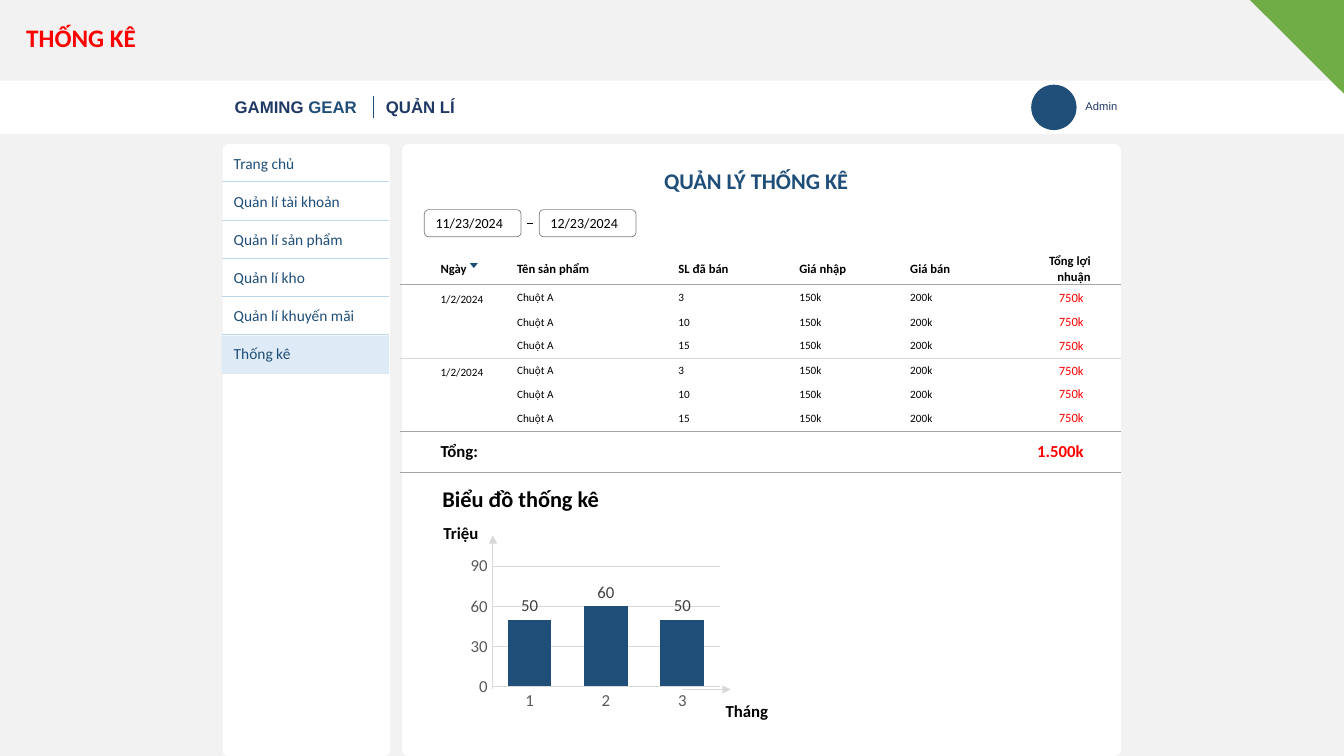
from pptx import Presentation
from pptx.chart.data import CategoryChartData
from pptx.dml.color import RGBColor
from pptx.enum.chart import XL_CHART_TYPE as ChartType, XL_LABEL_POSITION as LabelPosition
from pptx.enum.chart import XL_TICK_MARK as TickMark
from pptx.enum.shapes import MSO_CONNECTOR as Connector, MSO_SHAPE as Shape
from pptx.enum.text import MSO_ANCHOR as Anchor, MSO_AUTO_SIZE as AutoSize, PP_ALIGN as Align
from pptx.oxml import parse_xml
from pptx.oxml.ns import nsdecls, qn
from pptx.util import Inches, Pt

GRID = Inches(0.1)
COLUMNS, ROWS = 133.33, 75
COLORS = {
    "page": "F2F2F2", "white": "FFFFFF", "black": "000000", "red": "FF0000",
    "blue": "1F4E79", "navy": "203864", "sky": "BDD7EE", "active": "DEEBF7",
    "green": "70AD47", "rule": "A6A6A6", "faint": "D9D9D9", "border": "808080",
    "axis": "595959", "label": "404040",
}
MENU = [("Trang chủ", 8.2), ("Quản lí tài khoản", 12.6), ("Quản lí sản phẩm", 12.9),
        ("Quản lí kho", 9.5), ("Quản lí khuyến mãi", 14.1), ("Thống kê", 7.7)]
HEADERS = ["Ngày", "Tên sản phẩm", "SL đã bán", "Giá nhập", "Giá bán", "Tổng lợi nhuận"]
DAYS = [("1/2/2024", ["3", "10", "15"])] * 2
COLUMN_WIDTHS = [10.6, 16, 12, 11, 10.3, 11.6]
ROW_HEIGHTS = [2.6, 2.7, 2.2, 2.4, 2.6, 2.1, 2.6, 4.1]


def grid(*cells):
    return [round(cell * GRID) for cell in cells]


def color(name):
    return RGBColor.from_string(COLORS[name])


def set_font(font, size, name, bold=False, face="Calibri"):
    font.size, font.bold, font.name = Pt(size), bold, face
    font.color.rgb = color(name)


def add_block(slide, kind, box, fill, radius=None, rotation=0):
    shape = slide.shapes.add_shape(kind, *grid(*box))
    shape.shadow.inherit = False
    shape.fill.solid()
    shape.fill.fore_color.rgb = color(fill)
    shape.line.fill.background()
    shape.rotation = rotation
    if radius is not None:
        shape.adjustments[0] = radius
    return shape


def add_text(slide, text, box, size, name, bold=False, face="Calibri"):
    frame = slide.shapes.add_textbox(*grid(*box)).text_frame
    frame.word_wrap = False
    paragraph = frame.paragraphs[0]
    paragraph.text = text
    set_font(paragraph.font, size, name, bold, face)
    return paragraph


def add_line(slide, ends, name, width, arrow=False):
    connector = slide.shapes.add_connector(Connector.STRAIGHT, *grid(*ends))
    connector.line.color.rgb = color(name)
    connector.line.width = Pt(width)
    properties = connector._element.spPr
    if arrow:
        properties.find(qn("a:ln")).append(
            parse_xml(f'<a:tailEnd {nsdecls("a")} type="triangle"/>'))
    properties.append(parse_xml(f'<a:effectLst {nsdecls("a")}/>'))


def add_title(slide, text):
    title = slide.shapes.title
    title.left, title.top, title.width, title.height = grid(1.6, 1.7, 13, 4)
    frame = title.text_frame
    frame.text = text
    frame.word_wrap, frame.auto_size = False, AutoSize.NONE
    frame.vertical_anchor = Anchor.MIDDLE
    frame.paragraphs[0].alignment = Align.LEFT
    set_font(frame.paragraphs[0].font, 18, "red", True)


def add_header(slide):
    add_block(slide, Shape.RECTANGLE, (0, 8, COLUMNS, 5.3), "white")
    shop = add_text(slide, "GAMING", (22.3, 9.1, 14.3, 3), 12, "navy", True, "Arial")
    gear = shop.add_run()
    gear.text = " GEAR"
    gear.font.color.rgb = color("blue")
    add_line(slide, (37, 11.7, 37, 9.5), "blue", 0.5)
    add_text(slide, "QUẢN LÍ", (37.3, 9.1, 8.9, 3), 12, "navy", True, "Arial")
    add_block(slide, Shape.OVAL, (102.3, 8.4, 4.5, 4.5), "blue")
    add_text(slide, "Admin", (106.7, 9.4, 5.2, 2.4), 8, "navy", face="Arial")


def add_menu(slide):
    left, width, pitch = 22, 16.6, 3.8
    add_block(slide, Shape.ROUNDED_RECTANGLE, (22.1, 14.3, width, 60.7), "white", 0.03)
    add_block(slide, Shape.RECTANGLE, (left, 33.3, width, pitch), "active")
    for index, (label, label_width) in enumerate(MENU):
        add_text(slide, label, (22.2, 14.75 + index * 3.77, label_width, 2.9), 11, "blue")
        if index:
            rule = 14.2 + index * pitch
            add_line(slide, (left, rule, left + width, rule), "sky", 0.25)


def add_date_range(slide):
    for left, day in ((42.1, "11/23/2024"), (53.5, "12/23/2024")):
        shape = add_block(slide, Shape.ROUNDED_RECTANGLE, (left, 20.8, 9.6, 2.7), "white")
        shape.line.color.rgb = color("border")
        shape.line.width = Pt(0.5)
        shape.text_frame.text = day
        shape.text_frame.vertical_anchor = Anchor.MIDDLE
        paragraph = shape.text_frame.paragraphs[0]
        paragraph.alignment = Align.LEFT
        set_font(paragraph.font, 10, "black")
    add_line(slide, (52.3, 22.2, 52.9, 22.2), "black", 0.75)


def fill_cell(cell, text, size, name, bold=False, right=None):
    cell.text = text
    paragraph = cell.text_frame.paragraphs[0]
    set_font(paragraph.font, size, name, bold)
    if right is not None:
        paragraph.alignment = Align.RIGHT
        cell.margin_right = grid(right)[0]


def underline(row, name, width):
    for cell in row.cells:
        cell._tc.get_or_add_tcPr().insert(0, parse_xml(
            f'<a:lnB {nsdecls("a")} w="{Pt(width)}"><a:solidFill>'
            f'<a:srgbClr val="{COLORS[name]}"/></a:solidFill></a:lnB>'))


def add_sales_table(slide):
    frame = slide.shapes.add_table(len(ROW_HEIGHTS), len(COLUMN_WIDTHS), *grid(
        39.7, 25.2, sum(COLUMN_WIDTHS), sum(ROW_HEIGHTS)))
    table = frame.table
    table.first_row = table.horz_banding = False
    table._tbl.tblPr.find(qn("a:tableStyleId")).text = "{2D5ABB26-0587-4C30-8999-92F81FD0307C}"
    for column, width in zip(table.columns, grid(*COLUMN_WIDTHS)):
        column.width = width
    for row, height in zip(table.rows, grid(*ROW_HEIGHTS)):
        row.height = height
        for index, cell in enumerate(row.cells):
            cell.fill.background()
            cell.vertical_anchor = Anchor.MIDDLE
            cell.margin_top = cell.margin_bottom = cell.margin_right = 0
            cell.margin_left = grid(1 if index else 4)[0]
    last = len(HEADERS) - 1
    for index, header in enumerate(HEADERS):
        fill_cell(table.cell(0, index), header, 9, "black", True, 3 if index == last else None)
    for group, (day, amounts) in enumerate(DAYS):
        first = 1 + group * len(amounts)
        date = table.cell(first, 0)
        date.merge(table.cell(first + len(amounts) - 1, 0))
        fill_cell(date, day, 8, "black")
        date.vertical_anchor = Anchor.TOP
        date.margin_top = grid(0.8)[0]
        for row, amount in enumerate(amounts, first):
            for index, text in enumerate(["Chuột A", amount, "150k", "200k"], 1):
                fill_cell(table.cell(row, index), text, 8, "black")
            fill_cell(table.cell(row, last), "750k", 9, "red", right=3.7)
    total = len(ROW_HEIGHTS) - 1
    table.cell(total, 0).merge(table.cell(total, last - 1))
    fill_cell(table.cell(total, 0), "Tổng:", 12, "black", True)
    fill_cell(table.cell(total, last), "1.500k", 12, "red", True, 3.7)
    for row, name, width in ((0, "rule", 0.5), (3, "faint", 0.25),
                             (6, "rule", 0.5), (7, "rule", 0.5)):
        underline(table.rows[row], name, width)
    underline_origin = table.cell(1, 0), table.cell(4, 0)
    for cell, name, width in zip(underline_origin, ("faint", "rule"), (0.25, 0.5)):
        cell._tc.get_or_add_tcPr().insert(0, parse_xml(
            f'<a:lnB {nsdecls("a")} w="{Pt(width)}"><a:solidFill>'
            f'<a:srgbClr val="{COLORS[name]}"/></a:solidFill></a:lnB>'))
    add_block(slide, Shape.ISOSCELES_TRIANGLE, (46.6, 26.1, 0.8, 0.5), "blue", rotation=180)


def add_profit_chart(slide):
    data = CategoryChartData()
    data.categories = ["1", "2", "3"]
    data.add_series("Series 1", (50, 60, 50))
    chart = slide.shapes.add_chart(
        ChartType.COLUMN_CLUSTERED, *grid(44.5, 55, 28.4, 16.8), data).chart
    chart.has_title = chart.has_legend = False
    set_font(chart.font, 10, "black")
    months, millions = chart.category_axis, chart.value_axis
    for axis in (months, millions):
        axis.major_tick_mark = axis.minor_tick_mark = TickMark.NONE
        set_font(axis.tick_labels.font, 12, "axis")
    millions.minimum_scale, millions.maximum_scale, millions.major_unit = 0, 90, 30
    millions.format.line.fill.background()
    for line in (months.format.line, millions.major_gridlines.format.line):
        line.color.rgb = color("faint")
        line.width = Pt(0.75)
    plot = chart.plots[0]
    plot.gap_width, plot.vary_by_categories = 75, False
    plot.series[0].format.fill.solid()
    plot.series[0].format.fill.fore_color.rgb = color("blue")
    plot.has_data_labels = True
    plot.data_labels.show_value = True
    plot.data_labels.position = LabelPosition.OUTSIDE_END
    set_font(plot.data_labels.font, 12, "label")
    area = chart._chartSpace.chart.plotArea
    for layout in area.findall(qn("c:layout")):
        area.remove(layout)
    shares = "".join(f'<c:{key} val="{share}"/>' for key, share in
                     (("x", 0.15), ("y", 0.07), ("w", 0.8), ("h", 0.71)))
    area.insert(0, parse_xml(
        f'<c:layout {nsdecls("c")}><c:manualLayout><c:layoutTarget val="inner"/>'
        f'<c:xMode val="edge"/><c:yMode val="edge"/>{shares}</c:manualLayout></c:layout>'))
    add_line(slide, (67.8, 68.4, 72.5, 68.4), "faint", 0.75, arrow=True)
    add_line(slide, (48.9, 68.4, 48.9, 53.1), "faint", 0.75, arrow=True)
    for text, box, size in (("Biểu đồ thống kê", (42.9, 47.6, 17.6, 3.7), 16),
                            ("Triệu", (43, 51.4, 5.5, 3), 12),
                            ("Tháng", (71, 69, 6.3, 3), 12)):
        add_text(slide, text, box, size, "black", True)


def main():
    presentation = Presentation()
    presentation.slide_width, presentation.slide_height = grid(COLUMNS, ROWS)
    slide = presentation.slides.add_slide(presentation.slide_layouts[5])
    slide.background.fill.solid()
    slide.background.fill.fore_color.rgb = color("page")
    add_title(slide, "THỐNG KÊ")
    add_header(slide)
    add_menu(slide)
    add_block(slide, Shape.ROUNDED_RECTANGLE, (39.9, 14.3, 71.3, 60.7), "white", 0.01)
    add_text(slide, "QUẢN LÝ THỐNG KÊ", (64.9, 16.1, 20.5, 3.7), 16, "blue", True)
    add_date_range(slide)
    add_sales_table(slide)
    add_profit_chart(slide)
    add_block(slide, Shape.RIGHT_TRIANGLE, (124, 0, 9.33, 9.3), "green", rotation=180)
    presentation.save("out.pptx")


if __name__ == "__main__":
    main()
